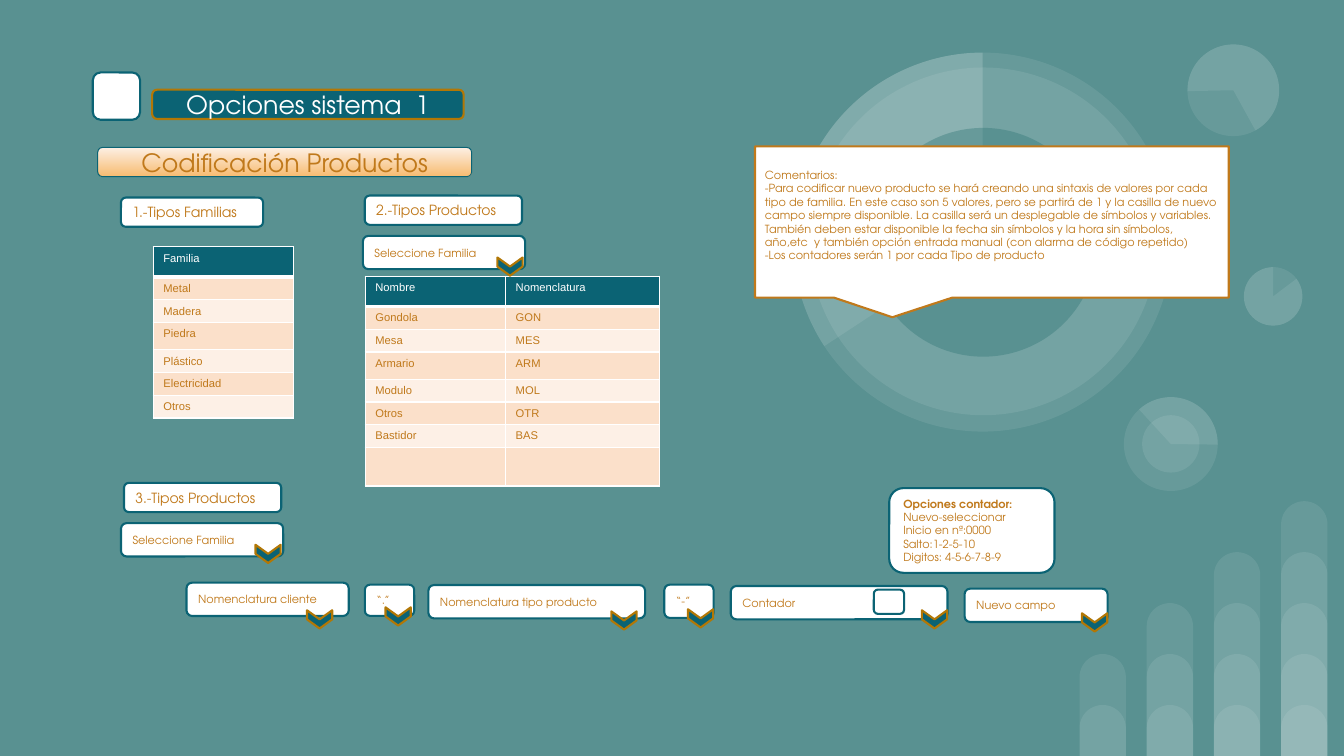
from dataclasses import dataclass
from typing import NamedTuple, Optional

from lxml import etree
from pptx import Presentation
from pptx.dml.color import RGBColor
from pptx.enum.shapes import MSO_SHAPE
from pptx.enum.text import MSO_ANCHOR, PP_ALIGN
from pptx.oxml.ns import qn
from pptx.util import Pt

ROUNDED = MSO_SHAPE.ROUNDED_RECTANGLE
BAR = MSO_SHAPE.ROUND_2_SAME_RECTANGLE
CALLOUT = MSO_SHAPE.RECTANGULAR_CALLOUT
CHEVRON = MSO_SHAPE.CHEVRON
OVAL = MSO_SHAPE.OVAL
PIE = MSO_SHAPE.PIE
LEFT, CENTER = PP_ALIGN.LEFT, PP_ALIGN.CENTER
MIDDLE = MSO_ANCHOR.MIDDLE


@dataclass(frozen=True)
class Theme:
    background: RGBColor = RGBColor(0x59, 0x91, 0x91)
    white: RGBColor = RGBColor(0xFF, 0xFF, 0xFF)
    teal: RGBColor = RGBColor(0x0B, 0x63, 0x74)
    gold: RGBColor = RGBColor(0xB2, 0x77, 0x05)
    orange: RGBColor = RGBColor(0xC0, 0x79, 0x1B)
    gradient_top: RGBColor = RGBColor(0xFD, 0xF0, 0xE5)
    gradient_bottom: RGBColor = RGBColor(0xF7, 0xBB, 0x70)
    odd_row: RGBColor = RGBColor(0xFB, 0xE0, 0xCA)
    even_row: RGBColor = RGBColor(0xFD, 0xF0, 0xE6)
    font: str = "TeX Gyre Adventor"
    table_font: str = "Arial"
    title_size: float = 18
    label_size: float = 10
    body_size: float = 8
    decoration_alpha: int = 9000


THEME = Theme()


class Box(NamedTuple):
    left: float
    top: float
    width: float
    height: float


class Disc(NamedTuple):
    """A background circle, or a pie when it has angles."""
    box: Box
    rotation: float = 0
    angles: tuple = ()
    fill: Optional[RGBColor] = None


class Field(NamedTuple):
    box: Box
    text: str = ""
    size: float = THEME.body_size


class Grid(NamedTuple):
    left: float
    top: float
    widths: tuple
    heights: tuple
    rows: tuple


BAR_COUNTS = (2, 3, 4, 5)
BIG_RING = Box(566.6, 37.6, 270.7, 270.7)
SMALL_DISC = Box(888.5, 190.8, 41.8, 41.8)
RIGHT_DISC = Box(802.8, 283.7, 67, 67)
TOP_DISC = Box(848.2, 31.7, 65.5, 65.5)
DISCS = (
    Disc(SMALL_DISC),
    Disc(RIGHT_DISC, 90),
    Disc(RIGHT_DISC, 90, (82.45, 162.46)),
    Disc(Box(815.8, 296.6, 41, 41), 90),
    Disc(SMALL_DISC, 0, (193.77, 162)),
    Disc(TOP_DISC, 215.9),
    Disc(TOP_DISC, 215.9, (193.77, 123.14)),
    Disc(BIG_RING),
    Disc(Box(578.2, 48.2, 248.4, 248.4), 34.1),
    Disc(BIG_RING, 0, (88.01, 162)),
    Disc(Box(620.6, 91.4, 163.4, 163.4), 34.1, fill=THEME.background),
    Disc(BIG_RING, 0, (125.54, 162)),
)
FIELDS = (
    Field(Box(66.3, 51.8, 33.8, 33.8)),
    Field(Box(86.4, 141.1, 101.5, 20.9), "1.-Tipos Familias", THEME.label_size),
    Field(Box(260.6, 139.7, 112.3, 20.9), "2.-Tipos Productos", THEME.label_size),
    Field(Box(88.6, 344.9, 112.3, 20.9), "3.-Tipos Productos", THEME.label_size),
    Field(Box(259.2, 168.5, 115.9, 23.8), "Seleccione Familia"),
    Field(Box(86.4, 373.7, 115.9, 23.8), "Seleccione Familia"),
    Field(Box(133.2, 416.2, 115.9, 23.8), "Nomenclatura cliente"),
    Field(Box(260.6, 417.6, 35.3, 22.3), "“.”"),
    Field(Box(306, 417.9, 154.8, 23.8), "Nomenclatura tipo producto"),
    Field(Box(474.5, 417.6, 35.3, 23.8), "“-”"),
    Field(Box(522, 418.6, 154.8, 23.8), "Contador"),
    Field(Box(689, 420.5, 102.2, 23.8), "Nuevo campo"),
    Field(Box(624.2, 421.2, 21.6, 17.3)),
)
CHEVRON_CORNERS = ((221.8, 433.4), (277.9, 431.3), (439.2, 434.2), (493.9, 432.7),
                   (661, 433.4), (775.4, 435.6), (357.8, 181.4), (185, 386.6))
HEADER_HEIGHT, ROW, TALL_ROW, EMPTY_ROW = 21.6, 16.2, 19.5, 27.6
FAMILY_HEIGHTS = (HEADER_HEIGHT, ROW, ROW, TALL_ROW, ROW, ROW, ROW)
GRIDS = (
    Grid(260.9, 197.3, (100.3, 110.1), FAMILY_HEIGHTS + (EMPTY_ROW,), (
        ("Nombre", "Nomenclatura"), ("Gondola", "GON"), ("Mesa", "MES"), ("Armario", "ARM"),
        ("Modulo", "MOL"), ("Otros", "OTR"), ("Bastidor", "BAS"), ("", ""))),
    Grid(109.5, 176.3, (100.3,), FAMILY_HEIGHTS, (
        ("Familia",), ("Metal",), ("Madera",), ("Piedra",), ("Plástico",),
        ("Electricidad",), ("Otros",))),
)
COMMENTS = (
    "Comentarios:\n"
    "-Para codificar nuevo producto se hará creando una sintaxis de valores por cada tipo de "
    "familia. En este caso son 5 valores, pero se partirá de 1 y la casilla de nuevo campo siempre "
    "disponible. La casilla será un desplegable de símbolos y variables. También deben estar "
    "disponible la fecha sin símbolos y la hora sin símbolos, año,etc  y también opción entrada "
    "manual (con alarma de código repetido)\n"
    "-Los contadores serán 1 por cada Tipo de producto")
COUNTER_OPTIONS = ("Opciones contador:\nNuevo-seleccionar\nInicio en nª:0000\n"
                   "Salto:1-2-5-10\nDigitos: 4-5-6-7-8-9")


def write_text(frame, text: str, *, size=THEME.body_size, color=THEME.orange, font=THEME.font,
               align=LEFT, bold_first=False) -> None:
    """Write one paragraph for each line of text."""
    frame.word_wrap = True
    for index, line in enumerate(text.split("\n")):
        paragraph = frame.add_paragraph() if index else frame.paragraphs[0]
        paragraph.alignment = align
        run = paragraph.add_run()
        run.text = line
        run.font.name, run.font.size = font, Pt(size)
        run.font.color.rgb = color
        run.font.bold = bold_first and index == 0


def draw_shape(slide, kind, box: Box, *, fill=THEME.white, line=None, line_width=1.5, rotation=0):
    shape = slide.shapes.add_shape(kind, *map(Pt, box))
    shape.shadow.inherit = False
    shape.rotation = rotation
    shape.fill.solid()
    shape.fill.fore_color.rgb = fill
    if line is None:
        shape.line.fill.background()
    else:
        shape.line.color.rgb, shape.line.width = line, Pt(line_width)
    return shape


def draw_decoration(slide, kind, box: Box, *, adjustments=(), fill=None, rotation=0) -> None:
    """Draw a background shape, translucent white unless a fill is given."""
    shape = draw_shape(slide, kind, box, fill=fill or THEME.white, rotation=rotation)
    for index, value in enumerate(adjustments):
        shape.adjustments[index] = value
    if fill is None:
        color = shape.fill._xPr.find(f"{qn('a:solidFill')}/{qn('a:srgbClr')}")
        etree.SubElement(color, qn("a:alpha"), val=str(THEME.decoration_alpha))


def draw_background(slide) -> None:
    slide.background.fill.solid()
    slide.background.fill.fore_color.rgb = THEME.background
    for column, count in enumerate(BAR_COUNTS):
        for level in range(1, count + 1):
            height = 36.4 * level
            draw_decoration(slide, BAR, Box(771.1 + 48 * column, 540 - height, 33.1, height),
                            adjustments=(0.5, 0))
    for disc in DISCS:
        draw_decoration(slide, PIE if disc.angles else OVAL, disc.box, adjustments=disc.angles,
                        fill=disc.fill, rotation=disc.rotation)


def draw_titles(slide) -> None:
    system = draw_shape(slide, ROUNDED, Box(108.7, 64.1, 222.5, 20.9),
                        fill=THEME.teal, line=THEME.gold)
    write_text(system.text_frame, "Opciones sistema  1", size=THEME.title_size,
               color=THEME.white, align=CENTER)
    coding = draw_shape(slide, ROUNDED, Box(69.8, 105.3, 267.1, 20.9),
                        line=THEME.teal, line_width=0.75)
    coding.fill.gradient()
    coding.fill.gradient_angle = 270
    for stop, color in zip(coding.fill.gradient_stops,
                           (THEME.gradient_top, THEME.gradient_bottom)):
        stop.color.rgb = color
    write_text(coding.text_frame, "Codificación Productos", size=THEME.title_size, align=CENTER)


def set_borders(cell, bottom_width: float) -> None:
    properties = cell._tc.get_or_add_tcPr()
    for side, width in (("L", 1), ("R", 1), ("T", 1), ("B", bottom_width)):
        border = etree.SubElement(properties, qn(f"a:ln{side}"), w=str(Pt(width)))
        fill = etree.SubElement(border, qn("a:solidFill"))
        etree.SubElement(fill, qn("a:srgbClr"), val=str(THEME.white))


def draw_grid(slide, grid: Grid) -> None:
    box = Box(grid.left, grid.top, sum(grid.widths), sum(grid.heights))
    table = slide.shapes.add_table(len(grid.rows), len(grid.widths), *map(Pt, box)).table
    table.first_row = table.horz_banding = False
    for column, width in zip(table.columns, grid.widths):
        column.width = Pt(width)
    for index, texts in enumerate(grid.rows):
        table.rows[index].height = Pt(grid.heights[index])
        header = index == 0
        banding = THEME.odd_row if index % 2 else THEME.even_row
        for cell, text in zip(table.rows[index].cells, texts):
            set_borders(cell, 3 if header else 1)
            cell.fill.solid()
            cell.fill.fore_color.rgb = THEME.teal if header else banding
            if text:
                write_text(cell.text_frame, text, font=THEME.table_font,
                           color=THEME.white if header else THEME.orange)
            else:
                cell.margin_top = cell.margin_bottom = 0


def draw_notes(slide) -> None:
    comments = draw_shape(slide, CALLOUT, Box(539.3, 104.6, 338.4, 108), line=THEME.orange)
    comments.adjustments[0], comments.adjustments[1] = -0.21, 0.63
    comments.text_frame.vertical_anchor = MIDDLE
    comments.text_frame.margin_bottom = Pt(13.2)
    write_text(comments.text_frame, COMMENTS)
    counter = draw_shape(slide, ROUNDED, Box(635.2, 348.7, 118.1, 60.5), line=THEME.teal)
    write_text(counter.text_frame, COUNTER_OPTIONS, bold_first=True)


def main() -> None:
    presentation = Presentation()
    presentation.slide_width, presentation.slide_height = Pt(960), Pt(540)
    slide = presentation.slides.add_slide(presentation.slide_layouts[6])
    draw_background(slide)
    draw_titles(slide)
    for grid in GRIDS:
        draw_grid(slide, grid)
    for field in FIELDS:
        shape = draw_shape(slide, ROUNDED, field.box, line=THEME.teal)
        if field.text:
            write_text(shape.text_frame, field.text, size=field.size)
    for left, top in CHEVRON_CORNERS:
        draw_shape(slide, CHEVRON, Box(left, top, 13, 18), fill=THEME.teal, line=THEME.gold,
                   rotation=90)
    draw_notes(slide)
    presentation.save("out.pptx")


if __name__ == "__main__":
    main()
